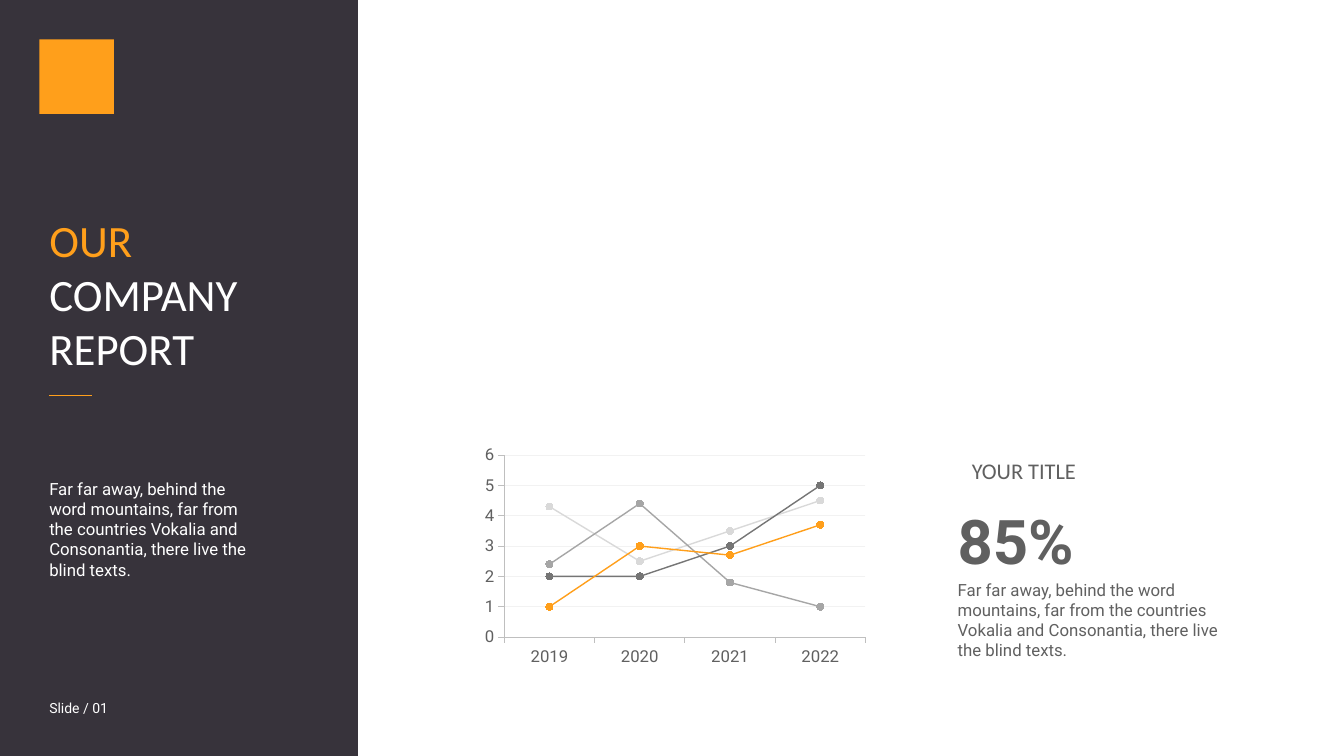
from lxml import etree
from pptx import Presentation
from pptx import util as u
from pptx.chart.data import CategoryChartData
from pptx.dml.color import RGBColor
from pptx.enum import chart as ch, shapes, text
from pptx.oxml import parse_xml
from pptx.oxml.ns import nsdecls, qn

DARK = RGBColor(0x37, 0x33, 0x3B)
ORANGE = RGBColor(0xFF, 0x9F, 0x1B)
WHITE = RGBColor(0xFF, 0xFF, 0xFF)
GREY = RGBColor(0x60, 0x60, 0x60)
AXIS = RGBColor(0xBF, 0xBF, 0xBF)
GRID = RGBColor(0xF2, 0xF2, 0xF2)

# Content
TITLE = [("OUR", ORANGE), ("COMPANY", WHITE), ("REPORT", WHITE)]
BLURB = ("Far far away, behind the word mountains, far from the countries "
         "Vokalia and Consonantia, there live the blind texts.")
YEARS = ["2019", "2020", "2021", "2022"]
SERIES = [
    ("Series 1", (4.3, 2.5, 3.5, 4.5), RGBColor(0xD9, 0xD9, 0xD9)),
    ("Series 2", (2.4, 4.4, 1.8, 1), RGBColor(0xA6, 0xA6, 0xA6)),
    ("Series 3", (2, 2, 3, 5), RGBColor(0x75, 0x75, 0x75)),
    ("Series 4", (1, 3, 2.7, 3.7), ORANGE),
]
PLOT = {"x": 0.049, "y": 0.062, "w": 0.934, "h": 0.831}  # shares of the chart

# Layout in inches
WIDTH, HEIGHT = 13.33, 7.5
PANEL_W = 3.55
MARGIN = 0.39
INSET = 0.1
STATS_X = 9.4

prs = Presentation()
prs.slide_width, prs.slide_height = u.Inches(WIDTH), u.Inches(HEIGHT)
s = prs.slides.add_slide(prs.slide_layouts[5])


def box(*lengths):
    return [u.Inches(n) for n in lengths]


def add_rect(at, color):
    sp = s.shapes.add_shape(shapes.MSO_SHAPE.RECTANGLE, *box(*at))
    sp.shadow.inherit = False
    sp.fill.solid()
    sp.fill.fore_color.rgb = color
    sp.line.fill.background()


def add_text(lines, at, size, color=GREY, font="Roboto", bold=False,
             align=text.PP_ALIGN.LEFT, wrap=False, sp=None):
    """Write a string, or (string, colour) paragraphs, into a text box or sp."""
    if sp is None:
        sp = s.shapes.add_textbox(*box(*at))
    sp.left, sp.top, sp.width, sp.height = box(*at)
    tf = sp.text_frame
    tf.word_wrap = wrap
    tf.auto_size = text.MSO_AUTO_SIZE.NONE
    tf.vertical_anchor = text.MSO_ANCHOR.TOP
    if isinstance(lines, str):
        lines = [(lines, color)]
    for i, (line, line_color) in enumerate(lines):
        p = tf.paragraphs[0] if i == 0 else tf.add_paragraph()
        p.alignment = align
        r = p.add_run()
        r.text = line
        r.font.size, r.font.name, r.font.bold = u.Pt(size), font, bold
        r.font.color.rgb = line_color


def set_line(line, color, width):
    line.color.rgb = color
    line.width = u.Pt(width)


# Side panel
add_rect((0, 0, PANEL_W, HEIGHT), DARK)
add_rect((MARGIN, MARGIN, 0.74, 0.74), ORANGE)
title = s.shapes.title
s.shapes.element.append(title.element)  # in front of the panel
add_text(TITLE, (MARGIN, 2.06, 2.51, 1.72), 32, font="Calibri", wrap=True, sp=title)
rule_x = MARGIN + INSET
rule = s.shapes.add_connector(shapes.MSO_CONNECTOR.STRAIGHT,
                              *box(rule_x, 3.92, rule_x + 0.42, 3.92))
set_line(rule.line, ORANGE, 0.5)
etree.SubElement(rule.element.spPr, qn("a:effectLst"))
add_text(BLURB, (MARGIN, 4.7, 2.31, 1.11), 12, WHITE, wrap=True)
add_text("Slide / 01", (MARGIN, 6.89, 0.79, 0.27), 10, WHITE)

# Line chart
data = CategoryChartData()
data.categories = YEARS
for name, values, _ in SERIES:
    data.add_series(name, values)
chart = s.shapes.add_chart(ch.XL_CHART_TYPE.LINE_MARKERS,
                           *box(4.81, 4.38, 3.84, 2.23), data).chart
chart.has_legend = chart.has_title = False
chart.font.size, chart.font.name = u.Pt(12), "Roboto"
chart.font.color.rgb = GREY
plot = chart.plots[0]
plot.vary_by_categories = False
for ser, (_, _, color) in zip(plot.series, SERIES):
    ser.smooth = False
    set_line(ser.format.line, color, 1)
    ser.marker.style, ser.marker.size = ch.XL_MARKER_STYLE.CIRCLE, 5
    ser.marker.format.fill.solid()
    ser.marker.format.fill.fore_color.rgb = color
    set_line(ser.marker.format.line, color, 0.75)

for axis in (chart.category_axis, chart.value_axis):
    axis.major_tick_mark = ch.XL_TICK_MARK.OUTSIDE
    axis.minor_tick_mark = ch.XL_TICK_MARK.NONE
    set_line(axis.format.line, AXIS, 0.75)
scale = chart.value_axis
scale.minimum_scale, scale.maximum_scale, scale.major_unit = 0, 6, 1
set_line(scale.major_gridlines.format.line, GRID, 0.75)

# Fixed inner plot area
plot_area = plot._element.getparent()
for old in plot_area.findall(qn("c:layout")):
    plot_area.remove(old)
modes = '<c:layoutTarget val="inner"/><c:xMode val="edge"/><c:yMode val="edge"/>'
shares = "".join(f'<c:{k} val="{v}"/>' for k, v in PLOT.items())
plot_area.insert(0, parse_xml(
    f'<c:layout {nsdecls("c")}><c:manualLayout>{modes}{shares}'
    "</c:manualLayout></c:layout>"))

# Key figure
add_text("YOUR TITLE", (STATS_X, 4.49, 1.51, 0.37), 16, font="Calibri",
         align=text.PP_ALIGN.CENTER)
add_text("85%", (STATS_X, 4.94, 1.37, 0.84), 44, bold=True)
add_text(BLURB, (STATS_X, 5.7, 3.03, 0.91), 12, wrap=True)

prs.save("out.pptx")
